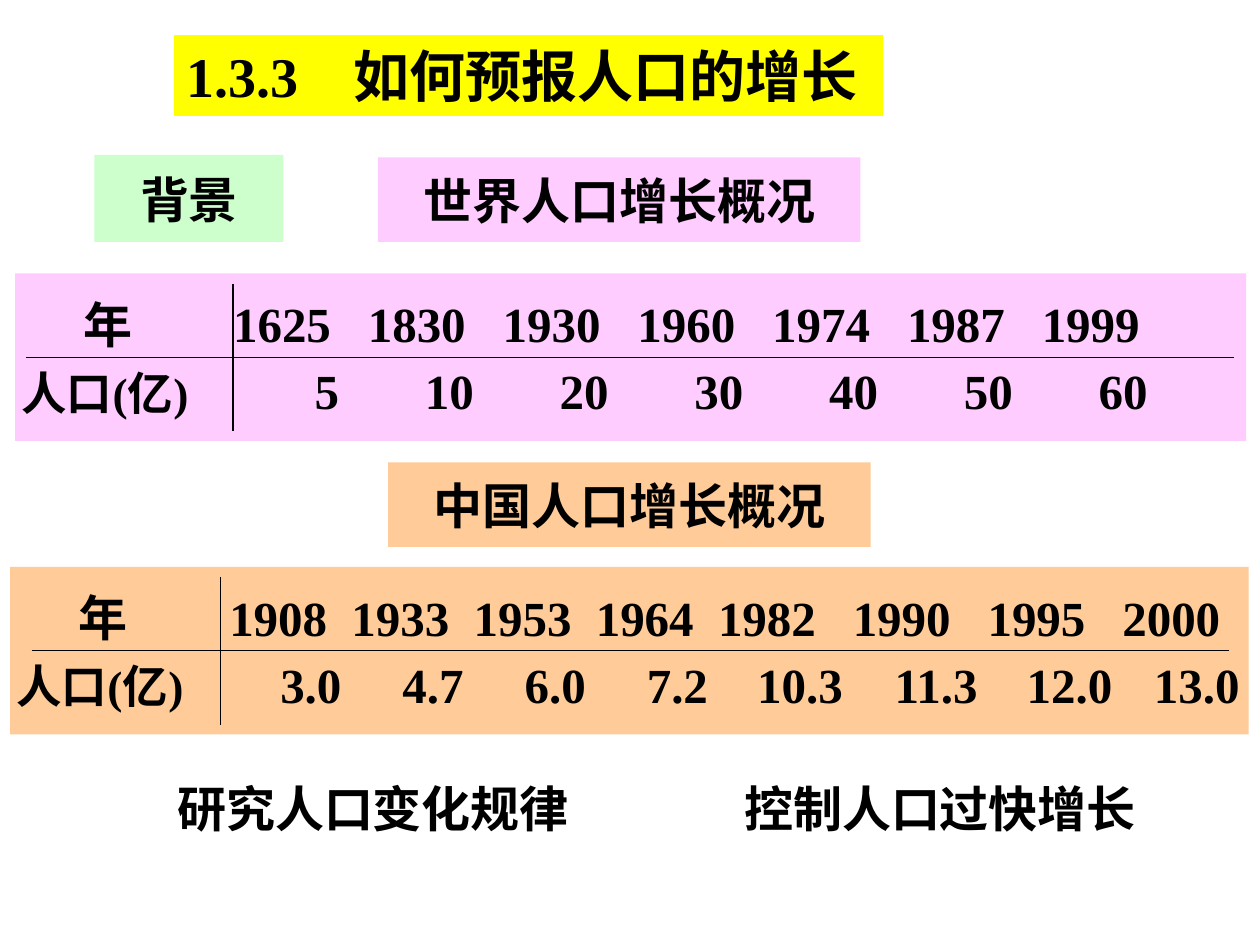
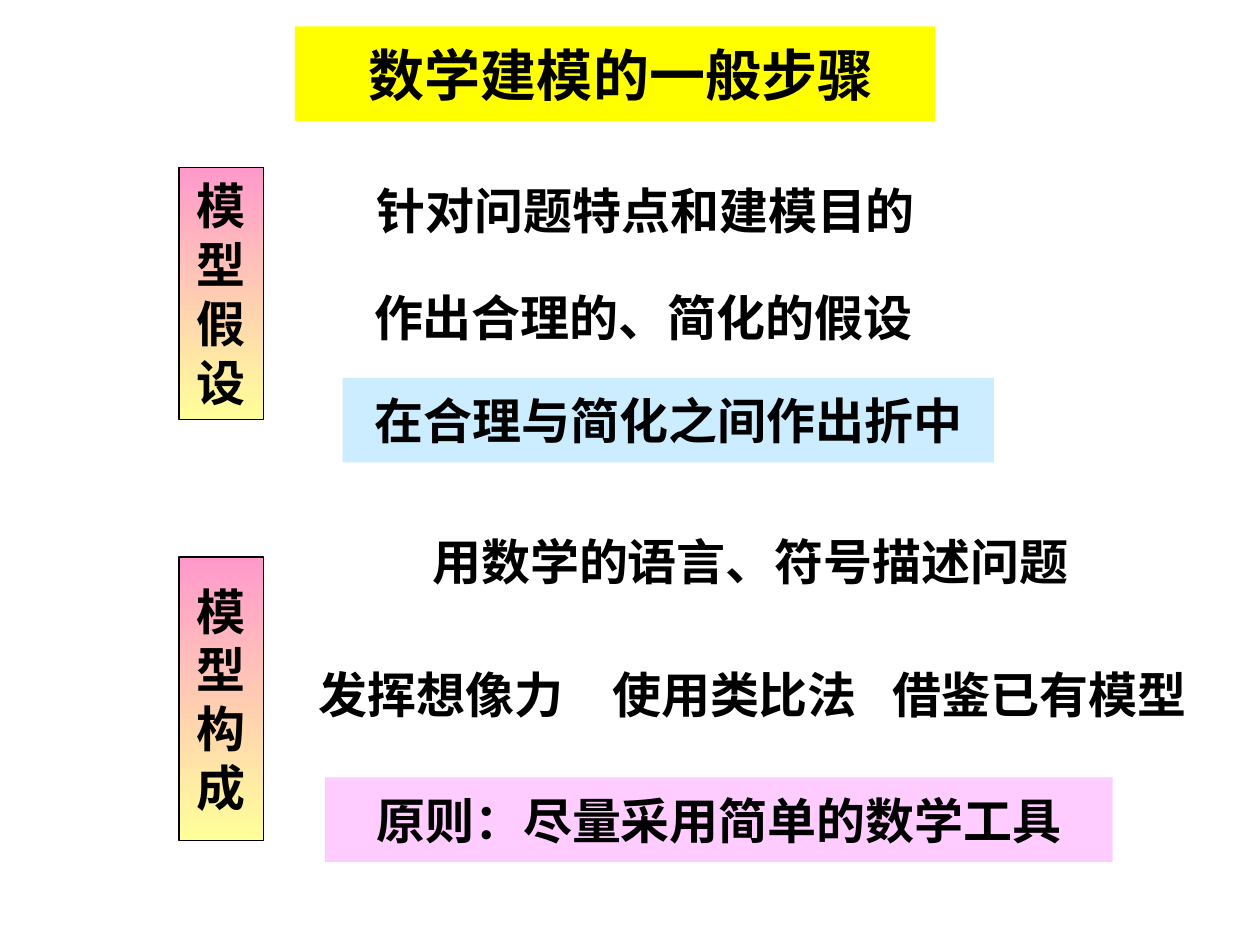
import pptx
import pptx.util
import pptx.dml.color
import pptx.enum.shapes
import pptx.enum.text
import pptx.oxml.ns
import lxml.etree

Inches = pptx.util.Inches
ALIGN = pptx.enum.text.PP_ALIGN
ANCHOR = pptx.enum.text.MSO_ANCHOR

FONT, TITLE_FONT = "Times New Roman", "Noto Sans CJK SC"
BODY_SIZE, TITLE_SIZE = 28, 32
BLACK, YELLOW, GREEN = "000000", "FFFF00", "CCFFCC"
PINK, ORANGE, BLUE = "FFCCFF", "FFCC99", "CCECFF"
GRADIENT = ("FF99CC", "FFFF99")

GROWTH_BOXES = [
    ("背景", (0.75, 1.23, 1.5, 0.69), GREEN),
    ("世界人口增长概况", (3, 1.25, 3.83, 0.67), PINK),
    ("中国人口增长概况", (3.08, 3.67, 3.83, 0.67), ORANGE),
    ("研究人口变化规律", (1, 6.08, 3.92, 0.67), None),
    ("控制人口过快增长", (5.5, 6.08, 3.92, 0.67), None),
]
ROW_LABELS = [("年", 28, 0.54), ("人口(亿)", 26, 0.05)]
POPULATION_TABLES = [
    {
        "band": (0.12, 2.17, 9.77, 1.33), "fill": PINK,
        "rule": (0.21, 9.79), "divider": 1.85,
        "widths": [1.73] + [1.07] * 7, "right": 0.23,
        "years": ["1625", "1830", "1930", "1960", "1974", "1987", "1999"],
        "people": ["5", "10", "20", "30", "40", "50", "60"],
    },
    {
        "band": (0.08, 4.5, 9.83, 1.33), "fill": ORANGE,
        "rule": (0.25, 9.75), "divider": 1.75,
        "widths": [1.74] + [0.97] * 4 + [1.07] * 3 + [1.01], "right": 0.08,
        "years": ["1908", "1933", "1953", "1964", "1982", "1990", "1995", "2000"],
        "people": ["3.0", "4.7", "6.0", "7.2", "10.3", "11.3", "12.0", "13.0"],
    },
]
STEP_NAMES = [
    ("模型假设", (1.42, 1.33, 0.67, 2)),
    ("模型构成", (1.42, 4.42, 0.67, 2.25)),
]
STEP_BOXES = [
    ("针对问题特点和建模目的", (2.75, 1.33, 4.75, 0.67), None),
    ("作出合理的、简化的假设", (2.72, 2.18, 4.77, 0.67), None),
    ("在合理与简化之间作出折中", (2.72, 3, 5.17, 0.67), BLUE),
    ("用数学的语言、符号描述问题", (3.33, 4.08, 5.25, 0.75), None),
    ("发挥想像力", (2.25, 5.17, 2.5, 0.67), None),
    ("使用类比法", (4.58, 5.17, 2.5, 0.67), None),
    ("借鉴已有模型", (6.9, 5.17, 2.7, 0.67), None),
    ("原则：尽量采用简单的数学工具", (2.58, 6.17, 6.25, 0.67), PINK),
]


def rgb(color):
    return pptx.dml.color.RGBColor.from_string(color)


def add_run(p, text, size=BODY_SIZE, font=FONT):
    r = p.add_run()
    r.text = text
    r.font.size = pptx.util.Pt(size)
    r.font.name = font
    r.font.bold = True
    r.font.color.rgb = rgb(BLACK)


def add_rect(s, box, fill):
    sp = s.shapes.add_shape(pptx.enum.shapes.MSO_SHAPE.RECTANGLE, *map(Inches, box))
    sp.shadow.inherit = False
    sp.line.fill.background()
    sp.fill.solid()
    sp.fill.fore_color.rgb = rgb(fill)
    return sp


def add_label(s, lines, box, fill=None, size=BODY_SIZE, font=FONT):
    sp = add_rect(s, box, fill) if fill else s.shapes.add_textbox(*map(Inches, box))
    tf = sp.text_frame
    tf.word_wrap = False
    tf.vertical_anchor = ANCHOR.MIDDLE
    for i, line in enumerate(lines):
        p = tf.add_paragraph() if i else tf.paragraphs[0]
        p.alignment = ALIGN.CENTER
        add_run(p, line, size, font)
    return sp


def add_step_name(s, name, box):
    sp = add_label(s, name, box, GRADIENT[0])
    sp.fill.gradient()
    sp.fill.gradient_angle = 270
    for stop, color in zip(sp.fill.gradient_stops, GRADIENT):
        stop.color.rgb = rgb(color)
    sp.line.color.rgb = rgb(BLACK)
    sp.line.width = pptx.util.Pt(0.75)


def add_line(s, x1, y1, x2, y2):
    line = s.shapes.add_connector(
        pptx.enum.shapes.MSO_CONNECTOR.STRAIGHT, *map(Inches, (x1, y1, x2, y2)))
    line.line.color.rgb = rgb(BLACK)
    line.line.width = pptx.util.Pt(0.75)
    sppr = line._element.spPr
    lxml.etree.SubElement(sppr, pptx.oxml.ns.qn("a:effectLst"))


def clear_cell(cell):
    tcpr = cell._tc.get_or_add_tcPr()
    for side in ("lnL", "lnR", "lnT", "lnB"):
        ln = lxml.etree.SubElement(tcpr, pptx.oxml.ns.qn("a:" + side), w="0")
        lxml.etree.SubElement(ln, pptx.oxml.ns.qn("a:noFill"))
    cell.fill.background()


def fill_cell(cell, text, size, anchor, align, left=0, right=0, top=0, bottom=0):
    clear_cell(cell)
    cell.margin_left, cell.margin_right = Inches(left), Inches(right)
    cell.margin_top, cell.margin_bottom = Inches(top), Inches(bottom)
    cell.vertical_anchor = anchor
    p = cell.text_frame.paragraphs[0]
    p.alignment = align
    add_run(p, text, size)


def add_population_table(s, data):
    left, top, width, height = data["band"]
    add_rect(s, data["band"], data["fill"])
    widths = data["widths"]
    table = s.shapes.add_table(2, len(widths), Inches(left), Inches(top),
                               Inches(sum(widths)), Inches(height)).table
    table.first_row = table.horz_banding = False
    for column, w in zip(table.columns, widths):
        column.width = Inches(w)
    for i, (label, size, indent) in enumerate(ROW_LABELS):
        anchor = ANCHOR.TOP if i else ANCHOR.BOTTOM
        fill_cell(table.cell(i, 0), label, size, anchor, ALIGN.LEFT, left=indent)
    for j, (year, people) in enumerate(zip(data["years"], data["people"]), 1):
        fill_cell(table.cell(0, j), year, BODY_SIZE, ANCHOR.BOTTOM, ALIGN.LEFT, bottom=0.03)
        fill_cell(table.cell(1, j), people, BODY_SIZE, ANCHOR.TOP, ALIGN.RIGHT,
                  right=data["right"], top=0.07)
    middle = top + height / 2
    start, end = data["rule"]
    add_line(s, start, middle, end, middle)
    add_line(s, data["divider"], top + 0.08, data["divider"], top + height - 0.08)


def build_growth_slide(s):
    for text, box, fill in GROWTH_BOXES:
        add_label(s, [text], box, fill)
    for data in POPULATION_TABLES:
        add_population_table(s, data)
    title = add_label(s, ["1.3.3\t如何预报人口的增长"], (1.38, 0.28, 5.63, 0.64), YELLOW, TITLE_SIZE)
    title.text_frame.word_wrap = True
    p = title.text_frame.paragraphs[0]
    p.alignment = ALIGN.LEFT
    tabs = lxml.etree.SubElement(p._p.get_or_add_pPr(), pptx.oxml.ns.qn("a:tabLst"))
    lxml.etree.SubElement(tabs, pptx.oxml.ns.qn("a:tab"), pos=str(Inches(1.33)), algn="l")


def build_steps_slide(s):
    for name, box in STEP_NAMES:
        add_step_name(s, name, box)
    for text, box, fill in STEP_BOXES:
        add_label(s, [text], box, fill)
    title = add_label(s, ["数学建模的一般步骤"], (2.34, 0.21, 5.08, 0.75), YELLOW,
                      TITLE_SIZE, TITLE_FONT)
    title.text_frame.margin_left = Inches(0.2)


def main():
    prs = pptx.Presentation()
    prs.slide_width, prs.slide_height = Inches(10), Inches(7.5)
    for build in (build_growth_slide, build_steps_slide):
        build(prs.slides.add_slide(prs.slide_layouts[6]))
    prs.save("out.pptx")


if __name__ == "__main__":
    main()
